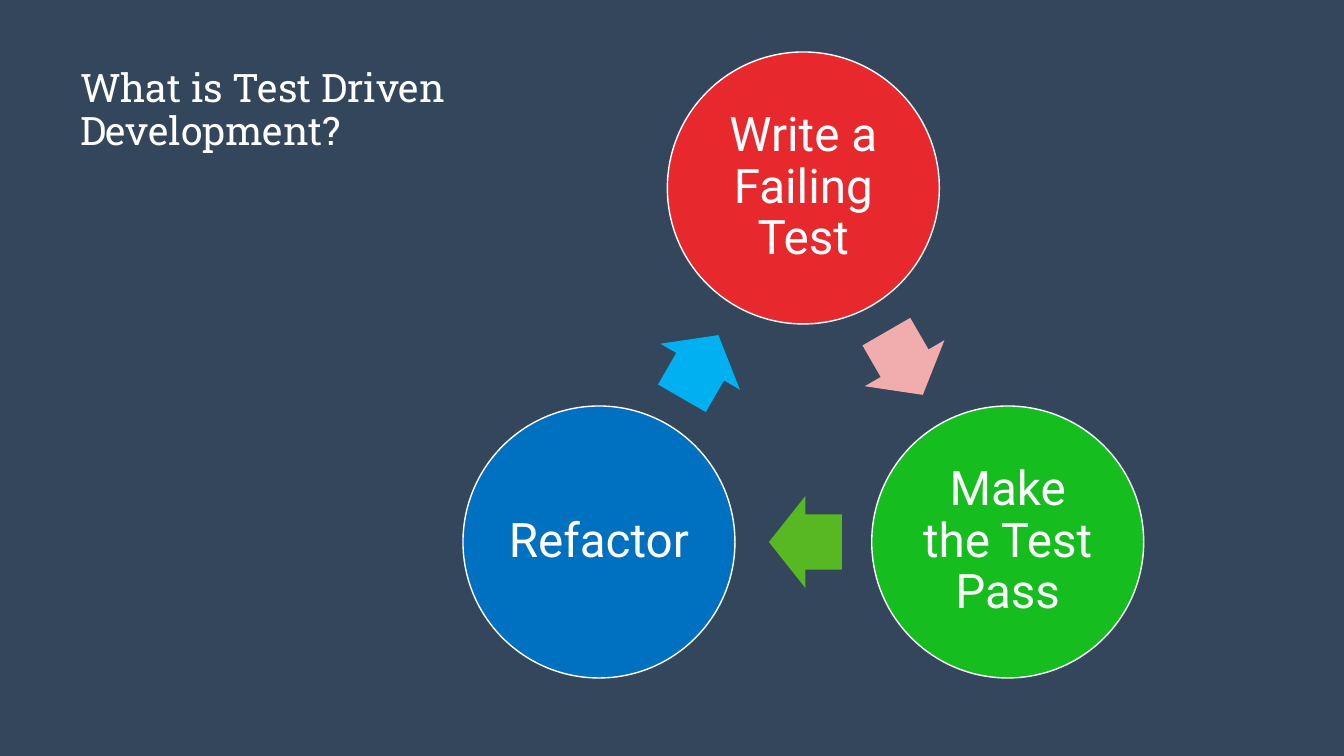
import math

import pptx
import pptx.dml.color
import pptx.enum.shapes
import pptx.enum.text
import pptx.util

EMU_PER_PX = 914400 / 100.8
WHITE = "FFFFFF"
STEPS = [
    ("Write a Failing Test", "E7292E", "F1ADAD"),
    ("Make the Test Pass", "15BE1E", "57B821"),
    ("Refactor", "0070C0", "00B0F0"),
]


def px(length):
    return pptx.util.Emu(round(length * EMU_PER_PX))


def color(hex_value):
    return pptx.dml.color.RGBColor.from_string(hex_value)


def set_attributes(target, values):
    for name, value in values.items():
        setattr(target, name, value)


def write_text(frame, text, font_name, size, inset, anchor, align):
    set_attributes(frame, {
        "word_wrap": True,
        "vertical_anchor": anchor,
        **{f"margin_{side}": px(inset) for side in ("left", "top", "right", "bottom")},
    })
    paragraph = frame.paragraphs[0]
    set_attributes(paragraph, {"alignment": align, "line_spacing": 0.9})
    run = paragraph.add_run()
    run.text = text
    set_attributes(run.font, {"name": font_name, "size": pptx.util.Pt(size)})
    run.font.color.rgb = color(WHITE)


def add_centred(slide, kind, x, y, width, height, fill):
    shape = slide.shapes.add_shape(
        kind, px(x - width / 2), px(y - height / 2), px(width), px(height))
    shape.shadow.inherit = False
    shape.fill.solid()
    shape.fill.fore_color.rgb = color(fill)
    return shape


def add_title(slide, left, top, width, height):
    title = slide.shapes.add_textbox(px(left), px(top), px(width), px(height))
    write_text(title.text_frame, "What is Test Driven Development?", "Roboto Slab", 28, 0,
               pptx.enum.text.MSO_ANCHOR.TOP, pptx.enum.text.PP_ALIGN.LEFT)


def add_step(slide, x, y, diameter, label, fill):
    step = add_centred(slide, pptx.enum.shapes.MSO_SHAPE.OVAL, x, y, diameter, diameter, fill)
    step.line.color.rgb = color(WHITE)
    step.line.width = pptx.util.Pt(1)
    write_text(step.text_frame, label, "Roboto", 34, 5,
               pptx.enum.text.MSO_ANCHOR.MIDDLE, pptx.enum.text.PP_ALIGN.CENTER)


def add_arrow(slide, x, y, width, height, rotation, fill):
    arrow = add_centred(
        slide, pptx.enum.shapes.MSO_SHAPE.RIGHT_ARROW, x, y, width, height, fill)
    arrow.line.fill.background()
    arrow.rotation = rotation
    arrow.adjustments[0] = 0.6
    arrow.adjustments[1] = 0.5


def add_cycle(slide, left, top, diameter, radius):
    center_x = left + diameter / 2 + radius * math.sin(math.radians(120))
    center_y = top + diameter / 2 + radius
    turn = 360 / len(STEPS)
    setback = 2
    for index, (label, step_fill, arrow_fill) in enumerate(STEPS):
        angle = math.radians(index * turn - 90)
        add_step(slide, center_x + radius * math.cos(angle),
                 center_y + radius * math.sin(angle), diameter, label, step_fill)
        heading = (index + 0.5) * turn
        middle, direction = math.radians(heading - 90), math.radians(heading)
        reach = radius * math.cos(math.radians(turn / 2))
        add_arrow(slide,
                  center_x + reach * math.cos(middle) - setback * math.cos(direction),
                  center_y + reach * math.sin(middle) - setback * math.sin(direction),
                  73, 92, heading, arrow_fill)


def main():
    deck = pptx.Presentation()
    set_attributes(deck, {"slide_width": px(1344), "slide_height": px(756)})
    slide = deck.slides.add_slide(deck.slide_layouts[6])
    slide.background.fill.solid()
    slide.background.fill.fore_color.rgb = color("33465B")
    add_title(slide, 80, 69, 378, 194)
    add_cycle(slide, 463, 52, 272, 236)
    deck.save("out.pptx")


if __name__ == "__main__":
    main()
